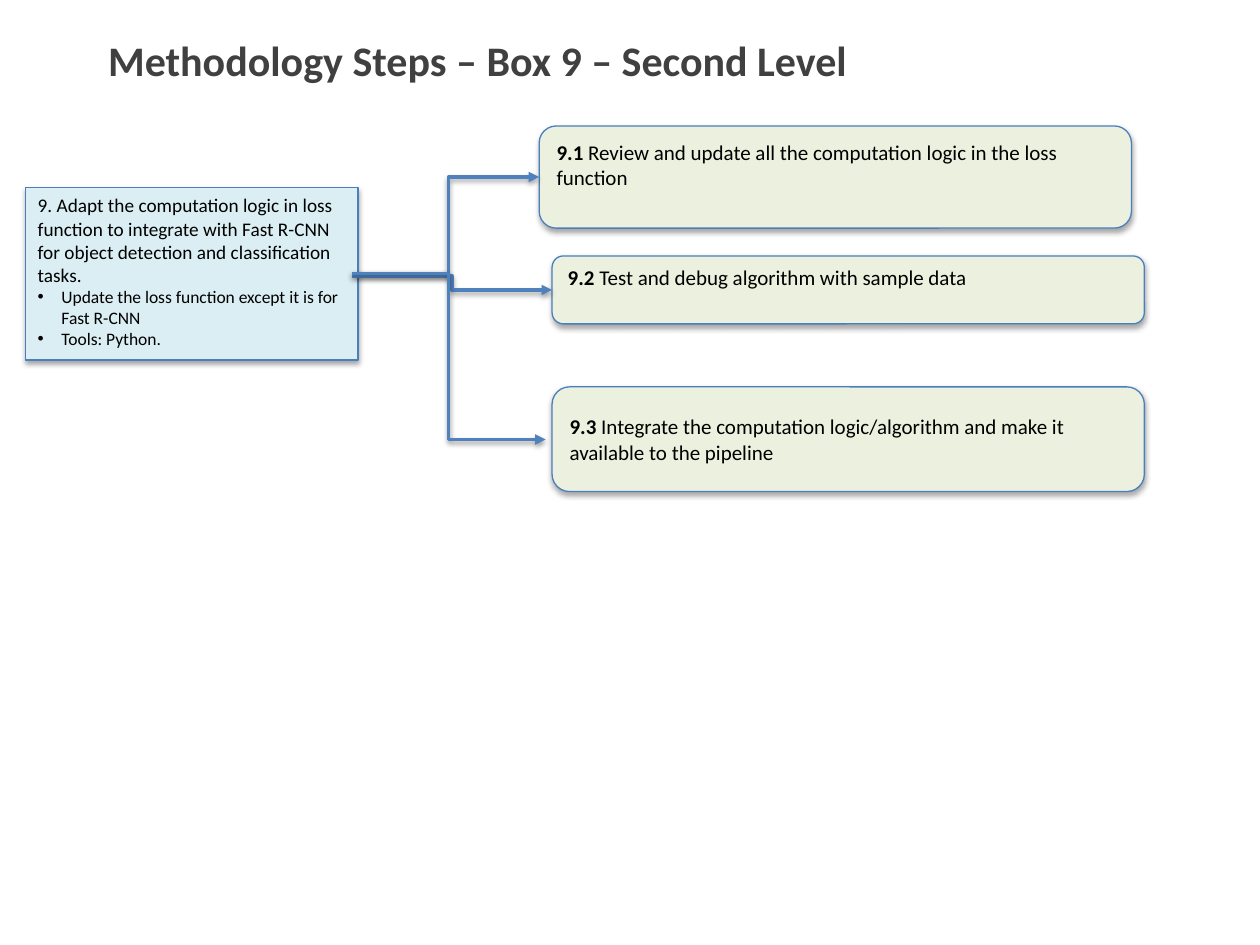
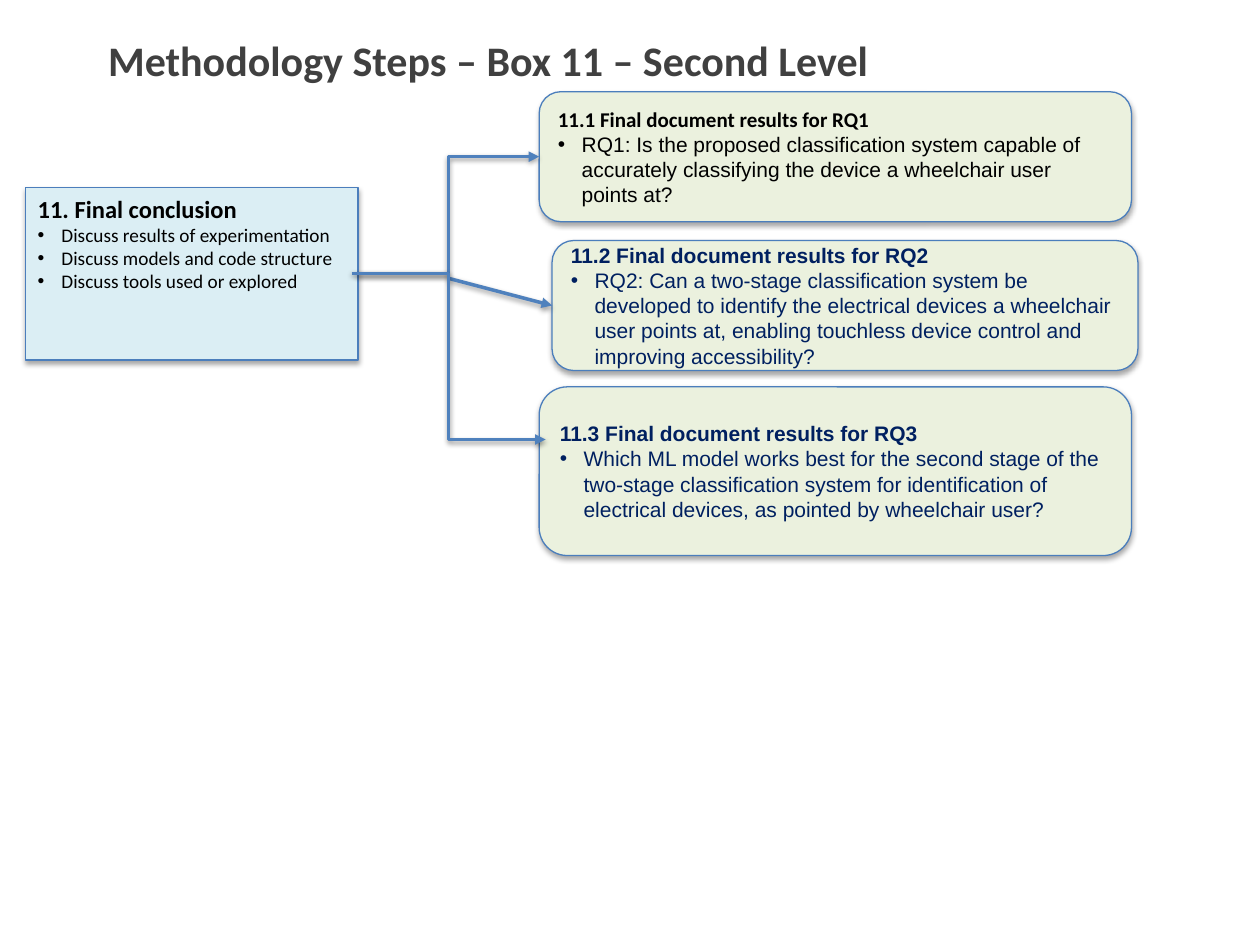
from dataclasses import dataclass

from lxml.etree import SubElement
from pptx import Presentation
from pptx.dml.color import RGBColor
from pptx.enum.shapes import MSO_CONNECTOR, MSO_SHAPE
from pptx.enum.text import MSO_ANCHOR, PP_ALIGN
from pptx.oxml.ns import qn
from pptx.util import Cm, Pt

BLACK, GREY, NAVY = "000000", "404040", "002060"
EDGE, ARROW = "4B7EBC", "4F81BD"
ROOT_FILL, STEP_FILL = "DBEEF4", "EBF1DE"

TITLE_BOX = (1.93, 0.58, 21.54, 2.06)
ROOT_BOX = (0.51, 3.78, 6.71, 3.48)
FORK = (7.09, 5.51)
LOW_TIP = (11, 8.86)
INDENT = Cm(0.48)


@dataclass
class Para:
    text: str
    size: float = 12
    bold: bool = False
    font: str = "Calibri"
    color: str = BLACK
    bullet: bool = False
    lead: str = ""


@dataclass
class Step:
    """A step box with its arrow; without start or tip the arrow is joined."""
    box: tuple
    paras: list
    start: tuple = None
    tip: tuple = None
    kind: int = MSO_CONNECTOR.ELBOW
    foot: float = 0.13


def rgb(code):
    return RGBColor.from_string(code)


def add_bullet(para):
    props = para._p.get_or_add_pPr()
    props.set("marL", str(INDENT))
    props.set("indent", str(-INDENT))
    SubElement(props, qn("a:buFont"), typeface="Arial")
    SubElement(props, qn("a:buChar"), char="•")


def write(frame, paras, anchor=MSO_ANCHOR.TOP):
    frame.word_wrap = True
    frame.vertical_anchor = anchor
    frame.text = "\n".join(item.lead or item.text for item in paras)
    for para, item in zip(frame.paragraphs, paras):
        para.alignment = PP_ALIGN.LEFT
        if item.bullet:
            add_bullet(para)
        if item.lead:
            para.add_run().text = item.text
        for run in para.runs:
            run.font.name = item.font
            run.font.size = Pt(item.size)
            run.font.bold = item.bold
            run.font.color.rgb = rgb(item.color)
        if item.lead:
            para.runs[0].font.bold = True


def add_shadow(props, drop, alpha):
    effects = props.find(qn("a:effectLst"))
    if effects is None:
        effects = SubElement(props, qn("a:effectLst"))
    outer = SubElement(effects, qn("a:outerShdw"), blurRad=str(Pt(3.1)),
                       dist=str(Pt(drop)), dir="5400000", rotWithShape="0")
    color = SubElement(outer, qn("a:srgbClr"), val=BLACK)
    SubElement(color, qn("a:alpha"), val=str(alpha * 1000))


def add_box(slide, kind, box, fill):
    shape = slide.shapes.add_shape(kind, *map(Cm, box))
    shape.shadow.inherit = False
    shape.fill.solid()
    shape.fill.fore_color.rgb = rgb(fill)
    shape.line.color.rgb = rgb(EDGE)
    shape.line.width = Pt(0.75)
    add_shadow(shape._element.spPr, 1.8, 35)
    return shape


def add_arrow(slide, root, shape, step):
    start, tip = step.start or FORK, step.tip or step.box[:2]
    link = slide.shapes.add_connector(step.kind, *map(Cm, start + tip))
    if not step.start:
        link.begin_connect(root, 3)
    if not step.tip:
        link.end_connect(shape, 1)
    link.line.color.rgb = rgb(ARROW)
    link.line.width = Pt(2)
    SubElement(link.line._get_or_add_ln(), qn("a:tailEnd"), type="triangle")
    add_shadow(link._element.spPr, 1.6, 38)


def add_title(slide, text):
    box = slide.shapes.add_textbox(*map(Cm, TITLE_BOX))
    write(box.text_frame, [Para(text, 24, True, color=GREY)])


def add_root(slide, paras):
    root = add_box(slide, MSO_SHAPE.RECTANGLE, ROOT_BOX, ROOT_FILL)
    write(root.text_frame, paras)
    return root


def add_step(slide, root, step):
    shape = add_box(slide, MSO_SHAPE.ROUNDED_RECTANGLE, step.box, STEP_FILL)
    write(shape.text_frame, step.paras, MSO_ANCHOR.MIDDLE)
    shape.text_frame.margin_bottom = Cm(step.foot)
    add_arrow(slide, root, shape, step)


def add_tree(deck, number, paras, steps):
    """One slide: a title, a root box and the steps that branch from it."""
    slide = deck.slides.add_slide(deck.slide_layouts[6])
    add_title(slide, f"Methodology Steps – Box {number} – Second Level")
    root = add_root(slide, paras)
    for step in steps:
        add_step(slide, root, step)


def result(head, body, **look):
    return [Para(head, bold=True, **look),
            Para(body, font="Arial", color=look.get("color", BLACK), bullet=True)]


LOSS = [
    Para("9. Adapt the computation logic in loss function to integrate with "
         "Fast R-CNN for object detection and classification tasks.", 11),
    Para("Update the loss function except it is for Fast R-CNN", 10, bullet=True),
    Para("Tools: Python.", 10, bullet=True),
]
LOSS_STEPS = [
    Step((10.87, 2.54, 11.94, 2.06),
         [Para("Review and update all the computation logic in the loss function",
               lead="9.1 ")], foot=0.64),
    Step((11.13, 5.16, 11.94, 1.37),
         [Para("Test and debug algorithm with sample data", lead="9.2 ")],
         start=(7.09, 5.56), foot=0.64),
    Step((11.13, 7.8, 11.94, 2.11),
         [Para("Integrate the computation logic/algorithm and make it available "
               "to the pipeline", lead="9.3 ")],
         start=FORK, tip=LOW_TIP),
]

FINAL = [Para("11. Final conclusion", 14, True)] + [
    Para(text, 11, bullet=True) for text in (
        "Discuss results of experimentation",
        "Discuss models and code structure",
        "Discuss tools used or explored")
]
FINAL_STEPS = [
    Step((10.87, 1.85, 11.94, 2.62),
         result("11.1 Final document results for RQ1",
                "RQ1: Is the proposed classification system capable of accurately "
                "classifying the device a wheelchair user points at?")),
    Step((11.13, 4.85, 11.81, 2.62),
         result("11.2 Final document results for RQ2",
                "RQ2: Can a two-stage classification system be developed to identify "
                "the electrical devices a wheelchair user points at, enabling "
                "touchless device control and improving accessibility?",
                font="Arial", color=NAVY),
         start=(9.04, 5.61), kind=MSO_CONNECTOR.STRAIGHT),
    Step((10.87, 7.8, 11.94, 3.4),
         result("11.3 Final document results for RQ3",
                "Which ML model works best for the second stage of the two-stage "
                "classification system for identification of electrical devices, "
                "as pointed by wheelchair user?",
                font="Arial", color=NAVY),
         start=FORK, tip=LOW_TIP),
]


def main():
    deck = Presentation()
    deck.slide_width, deck.slide_height = Cm(25.4), Cm(19.05)
    add_tree(deck, 9, LOSS, LOSS_STEPS)
    add_tree(deck, 11, FINAL, FINAL_STEPS)
    deck.save("out.pptx")


if __name__ == "__main__":
    main()
